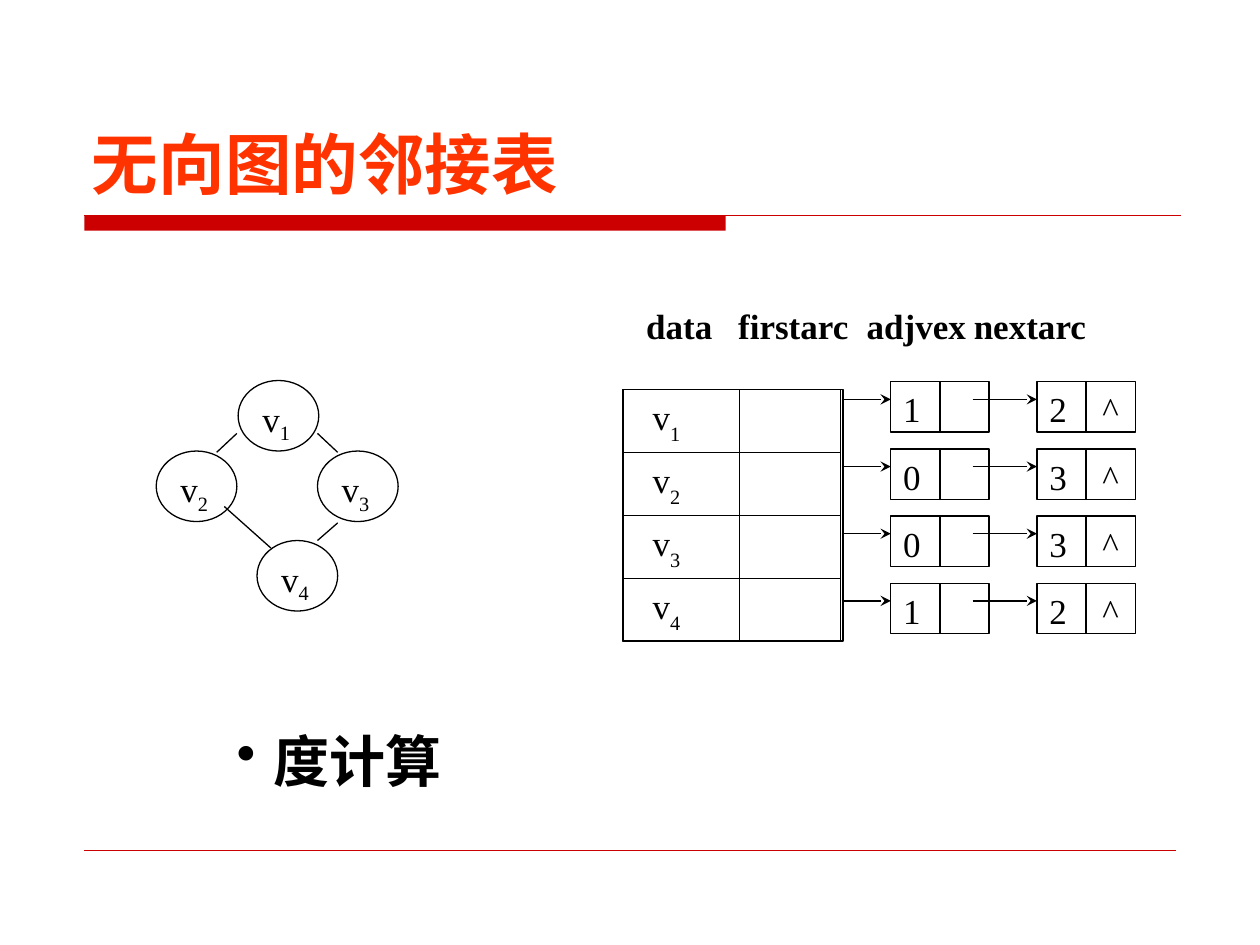
"""Build a slide on the linked adjacency list of an undirected graph."""
from typing import NamedTuple, Optional

from lxml.etree import SubElement as Sub
from pptx import Presentation
from pptx.dml.color import RGBColor as Rgb
from pptx.enum.shapes import MSO_CONNECTOR as Link, MSO_SHAPE as Kind
from pptx.enum.text import MSO_ANCHOR as Anchor, PP_ALIGN as Align
from pptx.oxml.ns import qn
from pptx.util import Inches, Pt

HUES = {"ink": "000000", "paper": "FFFFFF", "red": "CC0000", "title": "FF3300"}
SERIF, SANS = "Times New Roman", "DejaVu Sans"


class Box(NamedTuple):
    x: float
    y: float
    w: float
    h: float


class Edge(NamedTuple):
    x1: float
    y1: float
    x2: float
    y2: float


class Row(NamedTuple):
    sub: str
    first: str
    next: str


CIRCLES = {"1": (1.89, 3.02), "2": (1.24, 3.58), "3": (2.52, 3.58), "4": (2.04, 4.29)}
EDGES = [
    Edge(1.88, 3.44, 1.72, 3.59),
    Edge(2.68, 4.15, 2.52, 4.29),
    Edge(2.52, 3.44, 2.68, 3.59),
    Edge(1.78, 4.02, 2.15, 4.35),
]
ROWS = [Row("1", "1", "2"), Row("2", "0", "3"), Row("3", "0", "3"), Row("4", "1", "2")]
LIST_TOP, LIST_STEP = 3.09, 0.5
NODE_TOP, NODE_STEP = 3.03, 0.533
NODE_W, NODE_H = 0.78, 0.4


def hue(name: str) -> Rgb:
    """Return a named colour."""
    return Rgb.from_string(HUES[name])


def place(shape, box: Box) -> None:
    """Move and size a shape."""
    shape.left, shape.top, shape.width, shape.height = map(Inches, box)


def style(part, size: float, face: str = SERIF, color: str = "ink", bold: bool = False) -> None:
    """Format each run of a paragraph."""
    for run in part.runs:
        run.font.size, run.font.name, run.font.bold = Pt(size), face, bold
        run.font.color.rgb = hue(color)
        Sub(run.font._element, qn("a:ea"), typeface=face)


def add_tabs(part, stops: list[float]) -> None:
    """Set left tab stops in inches."""
    tabs = Sub(part._p.get_or_add_pPr(), qn("a:tabLst"))
    for stop in stops:
        Sub(tabs, qn("a:tab"), pos=str(Inches(stop)), algn="l")


def draw_box(slide, kind, box: Box, fill: Optional[str] = None,
             line: Optional[str] = "ink", width: float = 0.75):
    """Draw a preset shape with text set at the top left."""
    shape = slide.shapes.add_shape(kind, *map(Inches, box))
    shape.shadow.inherit = False
    if fill:
        shape.fill.solid()
        shape.fill.fore_color.rgb = hue(fill)
    else:
        shape.fill.background()
    if line:
        shape.line.color.rgb, shape.line.width = hue(line), Pt(width)
    else:
        shape.line.fill.background()
    shape.text_frame.vertical_anchor = Anchor.TOP
    shape.text_frame.paragraphs[0].alignment = Align.LEFT
    return shape


def draw_line(slide, edge: Edge, color: str = "ink", width: float = 0.75,
              arrow: bool = False) -> None:
    """Draw a straight line, with an arrowhead if asked."""
    line = slide.shapes.add_connector(Link.STRAIGHT, *map(Inches, edge))
    line.line.color.rgb, line.line.width = hue(color), Pt(width)
    if arrow:
        Sub(line.line._get_or_add_ln(), qn("a:tailEnd"), type="stealth")
    Sub(line._element.spPr, qn("a:effectLst"))


def write_v(shape, sub: str, drop: int) -> None:
    """Write a vertex name with its subscript."""
    part = shape.text_frame.paragraphs[0]
    for text in ("v", sub):
        part.add_run().text = text
    style(part, 20)
    part.runs[1].font._element.set("baseline", str(-drop * 1000))


def draw_node(slide, x: float, y: float, text: str) -> None:
    """Draw a list node split in two halves."""
    shape = draw_box(slide, Kind.RECTANGLE, Box(x, y, NODE_W, NODE_H), "paper")
    part = shape.text_frame.paragraphs[0]
    part.text = text
    add_tabs(part, [0.42])
    style(part, 20)
    mid = x + NODE_W / 2
    draw_line(slide, Edge(mid, y, mid, y + NODE_H))


def draw_row(slide, rank: int, row: Row) -> None:
    """Draw one vertex row and its chain of nodes."""
    y = LIST_TOP + rank * LIST_STEP
    cell = draw_box(slide, Kind.RECTANGLE, Box(4.95, y, 0.92, LIST_STEP))
    cell.text_frame.margin_left = Inches(0.23)
    write_v(cell, row.sub, 30)
    draw_box(slide, Kind.RECTANGLE, Box(5.87, y, 0.8, LIST_STEP))
    y = NODE_TOP + rank * NODE_STEP
    draw_node(slide, 7.07, y, row.first)
    draw_node(slide, 8.23, y, f"{row.next}\t^")
    for start, end in ((6.68, 7.07), (7.72, 8.23)):
        draw_line(slide, Edge(start, y + 0.14, end, y + 0.14), arrow=True)


def add_label(slide, box: Box, text: str):
    """Add a text box and return its frame."""
    frame = slide.shapes.add_textbox(*map(Inches, box)).text_frame
    frame.text = text
    return frame


def main() -> None:
    """Build and save the slide."""
    deck = Presentation()
    deck.slide_width, deck.slide_height = Inches(10), Inches(7.5)
    slide = deck.slides.add_slide(deck.slide_layouts[5])

    title = slide.shapes.title
    place(title, Box(0.63, 0.33, 8.75, 1.33))
    title.text_frame.text = "无向图的邻接表"
    title.text_frame.vertical_anchor = Anchor.BOTTOM
    head = title.text_frame.paragraphs[0]
    head.alignment = Align.LEFT
    style(head, 38, SANS, "title", True)

    draw_box(slide, Kind.RECTANGLE, Box(0.67, 1.71, 5.09, 0.12), "red", None)
    draw_line(slide, Edge(0.67, 1.71, 9.37, 1.71), "red")
    draw_line(slide, Edge(0.67, 6.75, 9.33, 6.75), "red", 0.25)

    for sub, (x, y) in CIRCLES.items():
        write_v(draw_box(slide, Kind.OVAL, Box(x, y, 0.64, 0.56), "paper"), sub, 25)
    for edge in EDGES:
        draw_line(slide, edge)

    for rank, row in enumerate(ROWS):
        draw_row(slide, rank, row)
    draw_box(slide, Kind.RECTANGLE, Box(4.94, LIST_TOP, 1.75, 4 * LIST_STEP), width=0.87)

    names = add_label(slide, Box(5.03, 2.37, 3.92, 0.43), "data\tfirstarc\tadjvex\tnextarc")
    names.word_wrap = True
    add_tabs(names.paragraphs[0], [0.73, 1.75, 2.6])
    style(names.paragraphs[0], 20, bold=True)

    note = add_label(slide, Box(1.78, 5.72, 1.85, 0.63), "度计算")
    note.word_wrap, note.vertical_anchor = False, Anchor.BOTTOM
    part = note.paragraphs[0]
    part.alignment = Align.LEFT
    props = part._p.get_or_add_pPr()
    props.set("marL", str(Inches(0.29)))
    props.set("indent", str(-Inches(0.29)))
    Sub(props, qn("a:buChar"), char="•")
    style(part, 32, SANS, bold=True)

    deck.save("out.pptx")


if __name__ == "__main__":
    main()
